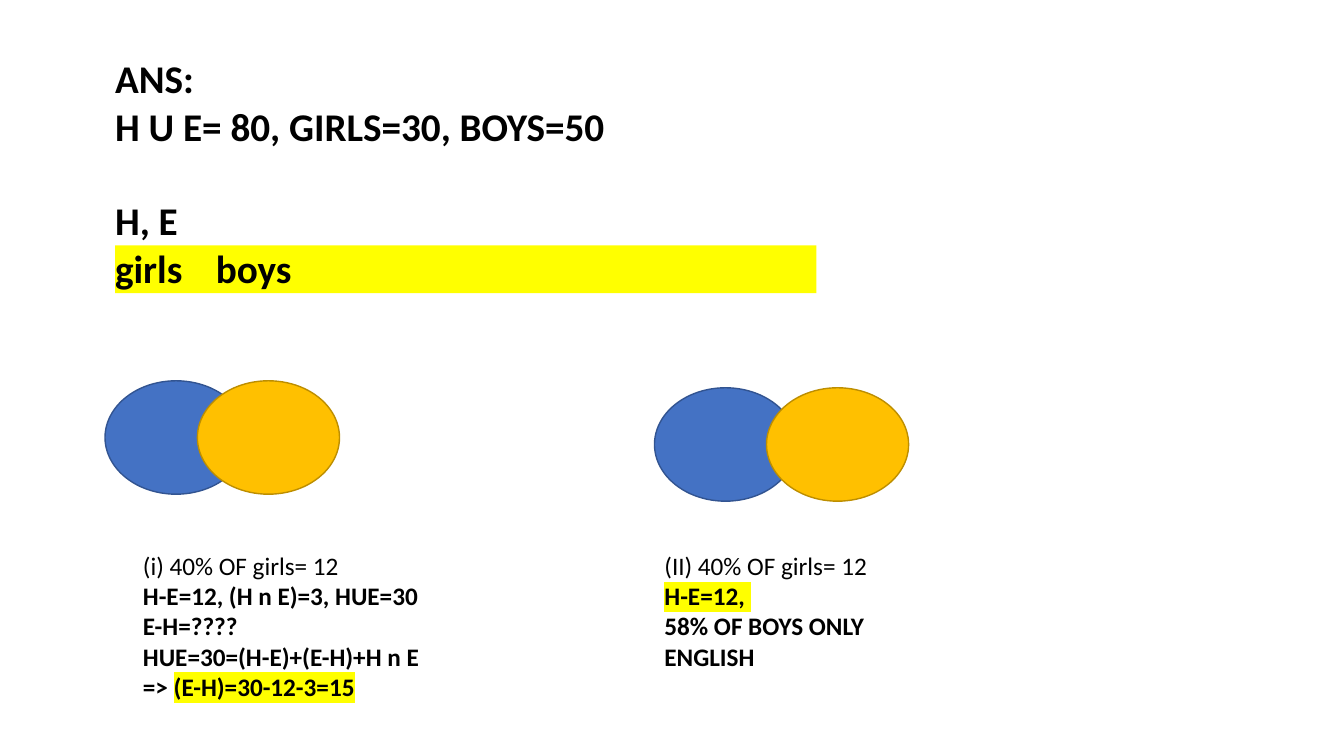
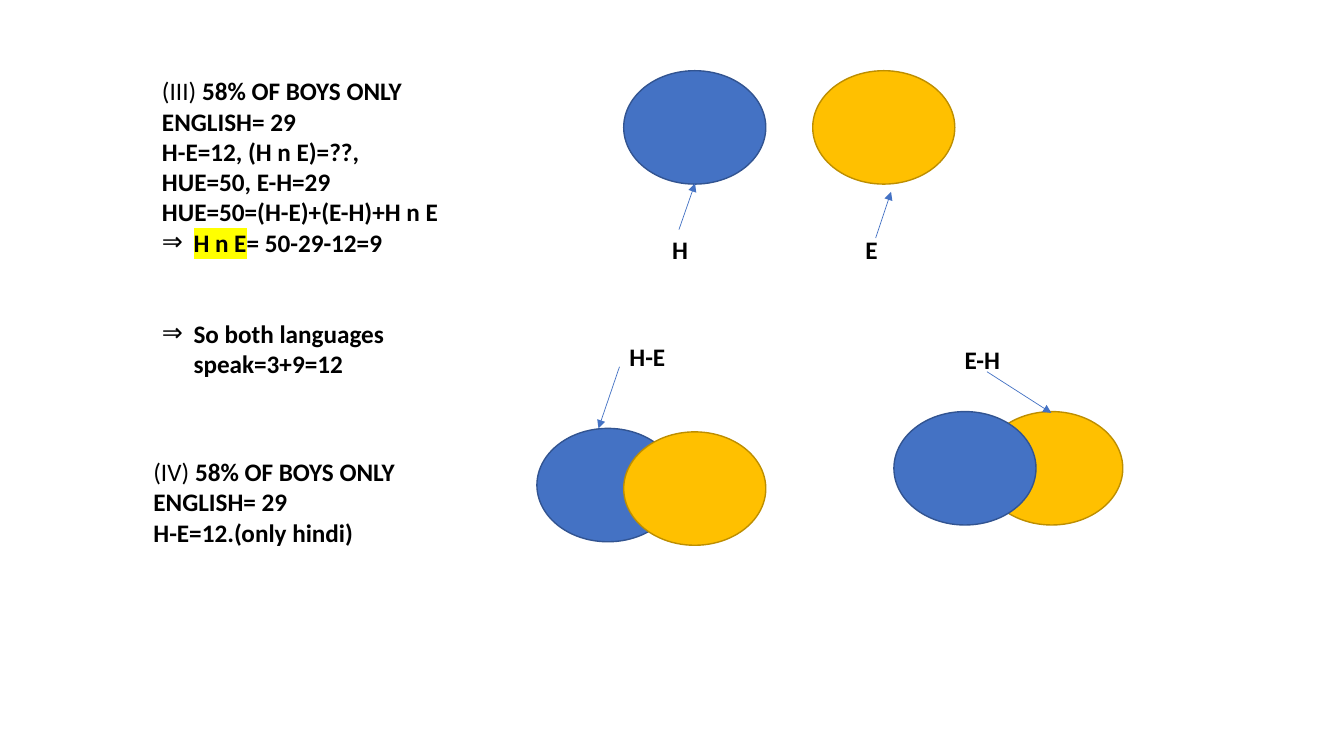
import dataclasses

import lxml.etree
import pptx
import pptx.dml.color
import pptx.enum.shapes
import pptx.enum.text
import pptx.oxml.ns
import pptx.util

Pt = pptx.util.Pt
qn = pptx.oxml.ns.qn


@dataclasses.dataclass(frozen=True)
class Theme:
    """Hold the colours, type and sizes that the slides share."""
    font: str = "Calibri"
    ink: str = "000000"
    mark: str = "FFFF00"
    blue: str = "4472C4"
    blue_edge: str = "325491"
    gold: str = "FFC000"
    gold_edge: str = "BD8E00"
    heading: float = 28
    text: float = 18
    line_ratio: float = 1.22
    inset_x: float = 7.2
    inset_y: float = 3.6
    set_w: float = 101.5
    set_h: float = 81
    indent: float = 22.5
    edge: float = 1
    arrow: float = 0.5


@dataclasses.dataclass(frozen=True)
class Para:
    """Describe one paragraph as (text, bold, marked) runs."""
    runs: tuple
    before: float = 0
    bullet: str = ""
    tab: float = 0


T = Theme()


def plain(text):
    """Return a regular run."""
    return text, False, False


def bold(text):
    """Return a bold run."""
    return text, True, False


def marked(text):
    """Return a bold highlighted run."""
    return text, True, True


def rgb(value):
    """Return a colour from its hex value."""
    return pptx.dml.color.RGBColor.from_string(value)


def sub(parent, tag, **attrs):
    """Append an XML child and return it."""
    return lxml.etree.SubElement(parent, qn(tag), attrs)


def paint(sp, fill, edge=None):
    """Give a shape a flat fill and an optional outline."""
    sp.shadow.inherit = False
    sp.fill.solid()
    sp.fill.fore_color.rgb = rgb(fill)
    if edge:
        sp.line.color.rgb = rgb(edge)
        sp.line.width = Pt(T.edge)
    else:
        sp.line.fill.background()


def add_run(p, text, is_bold, is_marked, size):
    """Add one formatted run to a paragraph."""
    r = p.add_run()
    r.text = text
    r.font.size = Pt(size)
    r.font.bold = is_bold
    r.font.color.rgb = rgb(T.ink)
    if is_marked:
        highlight = sub(r.font.fill._xPr, "a:highlight")
        sub(highlight, "a:srgbClr", val=T.mark)
    r.font.name = T.font


def write(sp, paras, size):
    """Write paragraphs into a text box or placeholder."""
    tf = sp.text_frame
    tf.word_wrap = True
    tf.auto_size = pptx.enum.text.MSO_AUTO_SIZE.NONE
    tf.vertical_anchor = pptx.enum.text.MSO_ANCHOR.TOP
    for i, para in enumerate(paras):
        p = tf.add_paragraph() if i else tf.paragraphs[0]
        p.alignment = pptx.enum.text.PP_ALIGN.LEFT
        p.line_spacing = 1.0
        p.space_before = Pt(para.before)
        indent = Pt(T.indent) if para.bullet else 0
        pr = p._p.get_or_add_pPr()
        pr.set("marL", str(indent))
        pr.set("indent", str(-indent))
        if para.bullet:
            sub(pr, "a:buFont", typeface=T.font)
            sub(pr, "a:buChar", char=para.bullet)
        else:
            sub(pr, "a:buNone")
        if para.tab:
            tabs = sub(pr, "a:tabLst")
            sub(tabs, "a:tab", pos=str(Pt(para.tab)), algn="l")
        for run in para.runs:
            add_run(p, *run, size)


def place(sp, x, y, w, h):
    """Move a placeholder to a box."""
    sp.left, sp.top, sp.width, sp.height = Pt(x), Pt(y), Pt(w), Pt(h)


def text_box(s, x, y, w, h, paras):
    """Add a text box of working steps."""
    sp = s.shapes.add_textbox(Pt(x), Pt(y), Pt(w), Pt(h))
    write(sp, paras, T.text)


def arrow(s, x1, y1, x2, y2):
    """Add a thin arrow from one point to another."""
    sp = s.shapes.add_connector(
        pptx.enum.shapes.MSO_CONNECTOR.STRAIGHT, Pt(x1), Pt(y1), Pt(x2), Pt(y2))
    sp.line.color.rgb = rgb(T.blue)
    sp.line.width = Pt(T.arrow)
    sub(sp.line._get_or_add_ln(), "a:tailEnd", type="triangle")
    sub(sp.element.spPr, "a:effectLst")


def sets(s, x, y, dx, dy=0, blue_front=False):
    """Draw the Hindi and English sets from the blue set's corner."""
    ovals = [(x, y, T.blue, T.blue_edge), (x + dx, y + dy, T.gold, T.gold_edge)]
    for left, top, fill, edge in reversed(ovals) if blue_front else ovals:
        sp = s.shapes.add_shape(
            pptx.enum.shapes.MSO_SHAPE.OVAL,
            Pt(left), Pt(top), Pt(T.set_w), Pt(T.set_h))
        paint(sp, fill, edge)


def callout(s, x, y, text, tail, head):
    """Add a label and an arrow placed relative to the label's corner."""
    text_box(s, x, y, 62, 29, [Para((bold(text),))])
    arrow(s, x + tail[0], y + tail[1], x + head[0], y + head[1])


def given(s, x, y, w):
    """Fill the title and body with the known totals."""
    line = T.heading * T.line_ratio
    place(s.shapes.title, x, y, w, line + 2 * T.inset_y)
    write(s.shapes.title, [Para((bold("ANS:"),))], T.heading)
    body = s.placeholders[1]
    place(body, x, y + line, w, 5 * line + 2 * T.inset_y)
    write(body, [
        Para((bold("H U E= 80, GIRLS=30, BOYS=50"),)),
        Para((bold("H, E"),), before=line),
        Para((bold("girls\tboys"),), tab=447),
    ], T.heading)
    band = s.shapes.add_shape(
        pptx.enum.shapes.MSO_SHAPE.RECTANGLE, Pt(x + T.inset_x),
        Pt(y + T.inset_y + 4 * line), Pt(501), Pt(line))
    paint(band, T.mark)
    body.element.addprevious(band.element)


def group_slide(prs):
    """Build the slide that compares girls and boys."""
    s = prs.slides.add_slide(prs.slide_layouts[1])
    given(s, 75, 35, 735)
    sets(s, 75, 272, 66)
    sets(s, 467.5, 277, 80)
    text_box(s, 95, 389.5, 226, 117, [
        Para((plain("(i) 40% OF girls= 12"),)),
        Para((bold("H-E=12, (H n E)=3, HUE=30 E-H=????"),)),
        Para((bold("HUE=30=(H-E)+(E-H)+H n E"),)),
        Para((bold("=> "), marked("(E-H)=30-12-3=15"))),
    ])
    text_box(s, 467.5, 389.5, 170, 95, [
        Para((plain("(II) 40% OF girls= 12"),)),
        Para((marked("H-E=12, "),)),
        Para((bold("58% OF BOYS ONLY ENGLISH"),)),
    ])


def result_slide(prs):
    """Build the slide that works out the boys and the overlap."""
    s = prs.slides.add_slide(prs.slide_layouts[1])
    title = s.shapes.title.element
    title.getparent().remove(title)
    body = s.placeholders[1]
    place(body, 108.5, 50.5, 219, 291)
    english = bold("58% OF BOYS ONLY ENGLISH= 29")
    write(body, [
        Para((plain("(III) "), english)),
        Para((bold("H-E=12, (H n E)=??, HUE=50, E-H=29"),)),
        Para((bold("HUE=50=(H-E)+(E-H)+H n E"),)),
        Para((marked("H n E"), bold("= 50-29-12=9")), bullet="⇒"),
        Para((bold("So both languages speak=3+9=12"),), before=43.5, bullet="⇒"),
    ], T.text)
    text_box(s, 102.5, 322.5, 219, 73, [
        Para((plain("(IV) "), english)),
        Para((bold("H-E=12.(only hindi)"),)),
    ])
    sets(s, 445.5, 50.5, 135)
    callout(s, 473, 164, "H", (12, 0), (23.5, -33))
    callout(s, 611, 164, "E", (14.5, 6), (25.5, -27))
    sets(s, 383.5, 306, 62, 2.5)
    callout(s, 442.5, 240, "H-E", (0, 22), (-15, 66))
    sets(s, 638.5, 294, 62, blue_front=True)
    callout(s, 682, 242.5, "E-H", (23, 23), (69, 52.5))


def main():
    """Build and save the slides."""
    prs = pptx.Presentation()
    prs.slide_width, prs.slide_height = Pt(960), Pt(540)
    group_slide(prs)
    result_slide(prs)
    prs.save("out.pptx")


if __name__ == "__main__":
    main()
